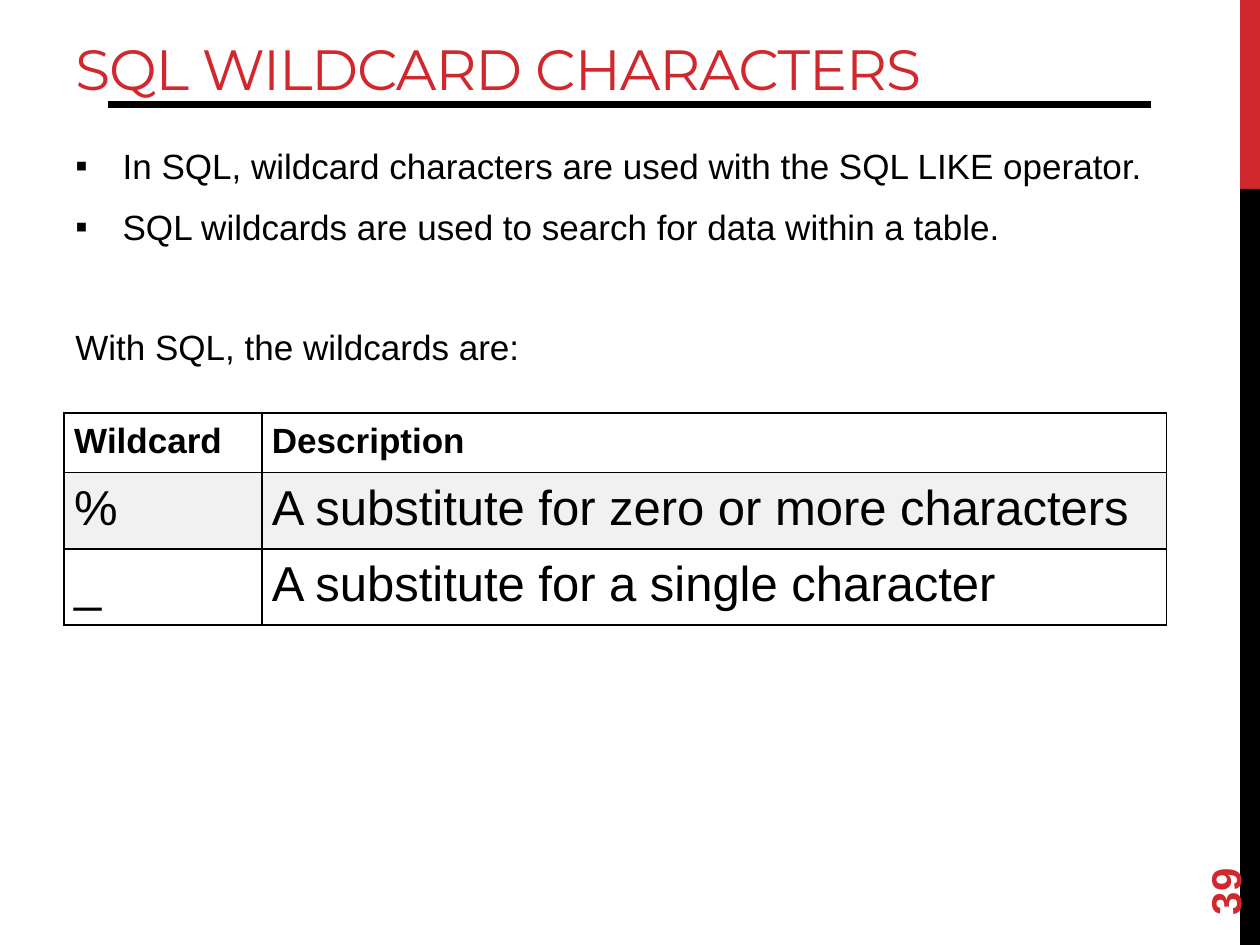
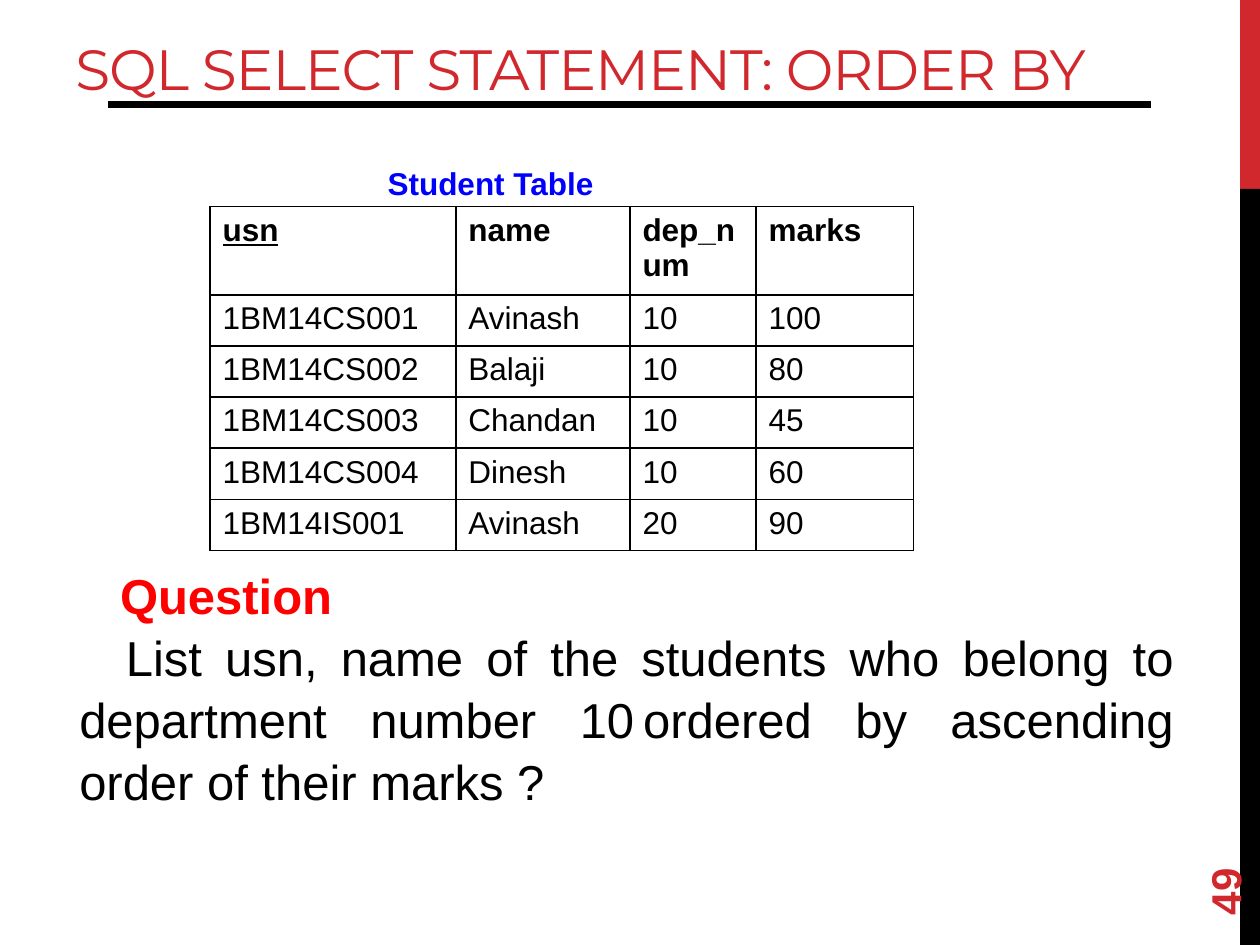
import pptx
import pptx.util
import pptx.dml.color
import pptx.enum.shapes
import pptx.enum.text
import pptx.oxml
import pptx.oxml.ns

Pt = pptx.util.Pt
MSO_ANCHOR = pptx.enum.text.MSO_ANCHOR
PP_ALIGN = pptx.enum.text.PP_ALIGN
NS = pptx.oxml.ns.nsdecls("a")

RED, BLACK, WHITE, GREY = "D1282E", "000000", "FFFFFF", "F1F1F1"


def rgb(value):
    return pptx.dml.color.RGBColor.from_string(value)


def write(tf, text, size=18, color=BLACK, bold=False, underline=False, font="Arial",
          align=PP_ALIGN.LEFT, before=0, line=1.0, left=0, indent=0,
          bullet=None, tab=None, spacing=None):
    """Add one formatted paragraph, using the first one while it is empty."""
    p = tf.paragraphs[0] if not tf.paragraphs[0].runs else tf.add_paragraph()
    p.alignment = align
    p.space_before, p.space_after, p.line_spacing = Pt(before), Pt(0), line
    pPr = p._p.get_or_add_pPr()
    pPr.set("marL", str(Pt(left)))
    pPr.set("indent", str(Pt(indent)))
    if bullet:
        pPr.append(pptx.oxml.parse_xml(f'<a:buFont {NS} typeface="{font}"/>'))
        pPr.append(pptx.oxml.parse_xml(f'<a:buChar {NS} char="{bullet}"/>'))
    if tab:
        pPr.append(pptx.oxml.parse_xml(
            f'<a:tabLst {NS}><a:tab pos="{Pt(tab)}" algn="l"/></a:tabLst>'))
    r = p.add_run()
    r.text = text
    r.font.name, r.font.size = font, Pt(size)
    r.font.bold, r.font.underline = bold, underline
    r.font.color.rgb = rgb(color)
    if spacing:
        r._r.get_or_add_rPr().set("spc", str(round(spacing * 100)))


# Paragraph styles
body = dict(size=20, line=1.05)
bulleted = dict(body, left=27, indent=-27, bullet="▪")
question = dict(size=28, line=1.05, align=PP_ALIGN.JUSTIFY)

# Content: boxes are (frame, wrap, paragraphs)
slides = [
    dict(
        title="SQL WILDCARD CHARACTERS",
        number="39",
        boxes=[
            ((36, 78, 648, 405), True, [
                ("In SQL, wildcard characters are used with the SQL LIKE operator.", bulleted),
                ("SQL wildcards are used to search for data within a table.",
                 dict(bulleted, before=9.6)),
                ("With SQL, the wildcards are:", dict(body, before=43.3)),
            ]),
        ],
        table=dict(
            at=(36.7, 236), cols=[113, 517], rows=[33.2, 42.3, 42.3],
            margins=(5.7, 5), sizes=(20, 28), fills=(WHITE, GREY), key=None,
            cells=[
                ["Wildcard", "Description"],
                ["%", "A substitute for zero or more characters"],
                ["_", "A substitute for a single character"],
            ]),
    ),
    dict(
        title="SQL SELECT STATEMENT: ORDER BY",
        number="49",
        boxes=[
            ((214.4, 90, 157, 29), False, [
                ("Student Table", dict(color="0000FF", bold=True)),
            ]),
            ((38.2, 318.2, 639.4, 143.3), True, [
                ("Question", dict(question, color="FF0000", bold=True, indent=23.3)),
                ("List usn, name of the students who belong to department number 10\t"
                 "ordered by ascending order of their marks ?",
                 dict(question, indent=26.6, tab=354)),
            ]),
        ],
        table=dict(
            at=(120, 118), cols=[140.5, 99.5, 72, 90], rows=[50.3] + [29.25] * 5,
            margins=(7.2, 3.6), sizes=(18, 18), fills=None, key="usn",
            cells=[
                ["usn", "name", "dep_num", "marks"],
                ["1BM14CS001", "Avinash", "10", "100"],
                ["1BM14CS002", "Balaji", "10", "80"],
                ["1BM14CS003", "Chandan", "10", "45"],
                ["1BM14CS004", "Dinesh", "10", "60"],
                ["1BM14IS001", "Avinash", "20", "90"],
            ]),
    ),
]

prs = pptx.Presentation()
prs.slide_width, prs.slide_height = Pt(720), Pt(540)

for content in slides:
    s = prs.slides.add_slide(prs.slide_layouts[6])

    # Side band
    for top, height, color in ((0, 108, RED), (108, 432, BLACK)):
        sp = s.shapes.add_shape(pptx.enum.shapes.MSO_SHAPE.RECTANGLE,
                                Pt(708.6), Pt(top), Pt(11.4), Pt(height))
        sp.shadow.inherit = False
        sp.fill.solid()
        sp.fill.fore_color.rgb = rgb(color)
        sp.line.fill.background()

    # Title rule
    rule = s.shapes.add_connector(pptx.enum.shapes.MSO_CONNECTOR.STRAIGHT,
                                  Pt(62), Pt(60), Pt(658), Pt(60))
    rule.line.color.rgb = rgb(BLACK)
    rule.line.width = Pt(4)
    rule._element.spPr.append(pptx.oxml.parse_xml(f"<a:effectLst {NS}/>"))

    # Title, slide number and text boxes
    title = ((36, 13.5, 672, 48), True, [
        (content["title"], dict(size=32.4, color=RED, font="Montserrat", spacing=-0.6))])
    number = ((648, 463.7, 103.7, 28.8), True, [
        (content["number"], dict(size=24, color=RED, bold=True))])
    for box in [title, number] + content["boxes"]:
        frame, wrap, paragraphs = box
        sp = s.shapes.add_textbox(*[Pt(v) for v in frame])
        tf = sp.text_frame
        tf.word_wrap = wrap
        if box is title:
            tf.vertical_anchor = MSO_ANCHOR.BOTTOM
        elif box is number:
            tf.vertical_anchor = MSO_ANCHOR.MIDDLE
            sp.rotation = 270
        for text, style in paragraphs:
            write(tf, text, **style)

    # Table
    t = content["table"]
    cols, rows = t["cols"], t["rows"]
    table = s.shapes.add_table(len(rows), len(cols), Pt(t["at"][0]), Pt(t["at"][1]),
                               Pt(sum(cols)), Pt(sum(rows))).table
    table.first_row = table.horz_banding = False
    for column, width in zip(table.columns, cols):
        column.width = Pt(width)
    for i, height in enumerate(rows):
        table.rows[i].height = Pt(height)
        for j, text in enumerate(t["cells"][i]):
            cell = table.cell(i, j)
            cell.margin_left = cell.margin_right = Pt(t["margins"][0])
            cell.margin_top = cell.margin_bottom = Pt(t["margins"][1])
            if t["fills"]:
                cell.fill.solid()
                cell.fill.fore_color.rgb = rgb(t["fills"][i % 2])
            else:
                cell.fill.background()
            tcPr = cell._tc.get_or_add_tcPr()
            for k, side in enumerate("LRTB"):
                tcPr.insert(k, pptx.oxml.parse_xml(
                    f'<a:ln{side} {NS} w="{Pt(1)}"><a:solidFill>'
                    f'<a:srgbClr val="{BLACK}"/></a:solidFill></a:ln{side}>'))
            write(cell.text_frame, text, size=t["sizes"][min(i, 1)],
                  bold=i == 0, underline=text == t["key"])

prs.save("out.pptx")
